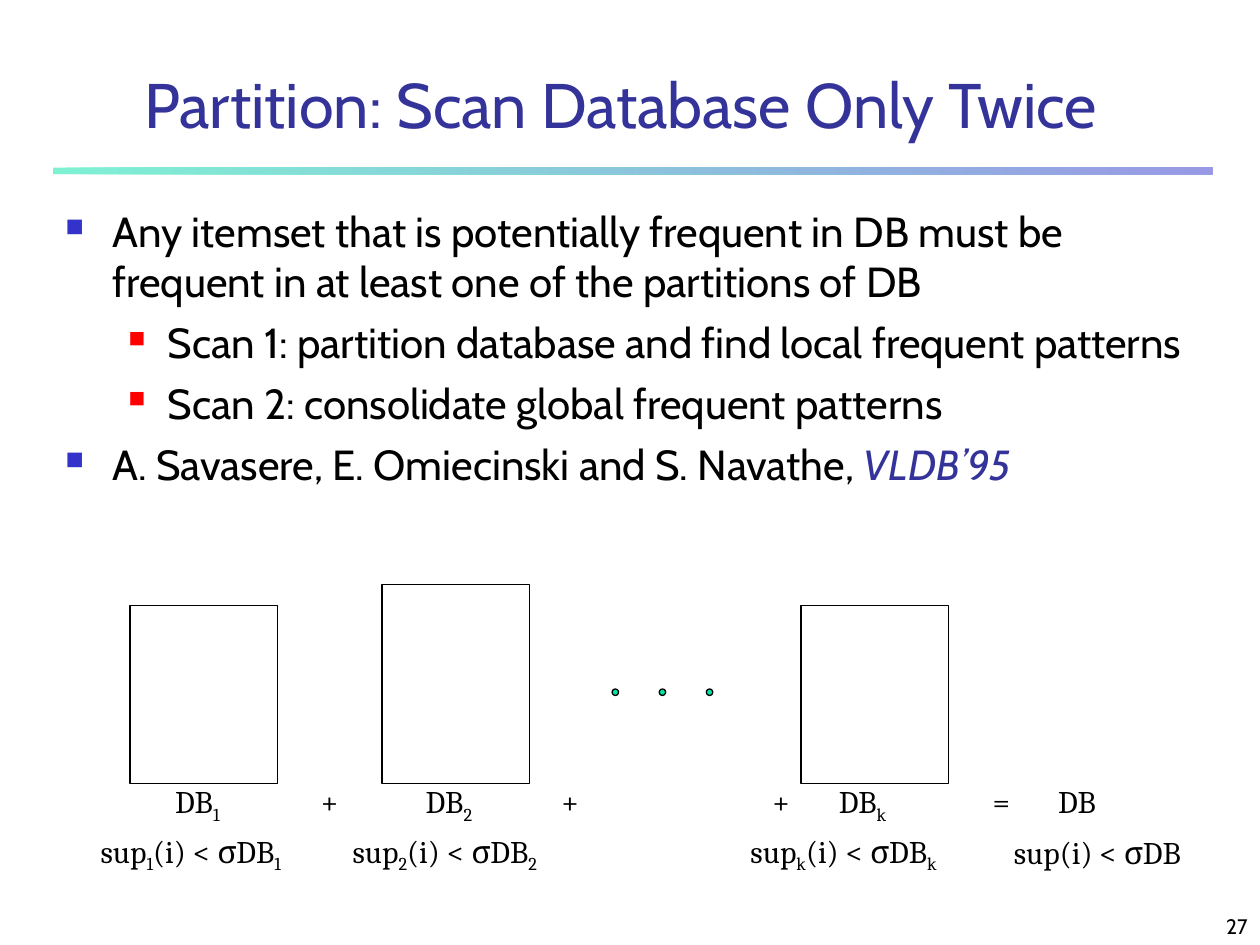
"""Build the slide on partitioned frequent itemset mining."""
import lxml.etree
import pptx
import pptx.chart.data
import pptx.dml.color
import pptx.enum.shapes
import pptx.enum.text
import pptx.oxml
import pptx.oxml.ns
import pptx.util

Cm = pptx.util.Cm
Pt = pptx.util.Pt
color = pptx.dml.color.RGBColor.from_string
qn = pptx.oxml.ns.qn
Shape = pptx.enum.shapes.MSO_SHAPE
Align = pptx.enum.text.PP_ALIGN
Anchor = pptx.enum.text.MSO_ANCHOR

presentation = pptx.Presentation()
presentation.slide_width = Cm(25.4)
presentation.slide_height = Cm(19.05)
slide = presentation.slides.add_slide(presentation.slide_layouts[6])


def add_text(paragraph, text, size=18, font="Cambria", fill="000000", italic=None):
    """Add runs to a paragraph; text between bars is subscript."""
    for index, part in enumerate(text.split("|")):
        if part:
            run = paragraph.add_run()
            run.text = part
            run.font.size = Pt(size)
            run.font.name = font
            run.font.color.rgb = color(fill)
            run.font.italic = italic
            if index % 2:
                run.font._element.set("baseline", "-25000")


def add_box(left, top, width, height, align=Align.LEFT, anchor=Anchor.TOP):
    """Add a wrapping text box and return its first paragraph."""
    box = slide.shapes.add_textbox(Cm(left), Cm(top), Cm(width), Cm(height))
    box.text_frame.word_wrap = True
    box.text_frame.vertical_anchor = anchor
    paragraph = box.text_frame.paragraphs[0]
    paragraph.alignment = align
    return paragraph


rule = slide.shapes.add_shape(Shape.RECTANGLE, Cm(1.07), Cm(3.38), Cm(23.37), Cm(0.13))
rule.shadow.inherit = False
rule.line.fill.background()
rule.fill.gradient()
rule.fill.gradient_angle = 0
for stop, fill in zip(rule.fill.gradient_stops, ["00E4A8", "3333CC"]):
    stop.color.rgb = color(fill)
for stop_color in rule._element.spPr.iter(qn("a:srgbClr")):
    lxml.etree.SubElement(stop_color, qn("a:alpha"), val="50000")

title = add_box(1.7, 1.27, 21.64, 1.7, Align.CENTER, Anchor.BOTTOM)
add_text(title, "Partition: Scan Database Only Twice", size=36, font="Cabin", fill="333399")

levels = [
    {"margin": 0.95, "hanging": 0.95, "fill": "3333CC", "percent": 60},
    {"margin": 2.06, "hanging": 0.79, "fill": "FF0000", "percent": 55},
]
points = [
    (0, "Any itemset that is potentially frequent in DB must be frequent "
        "in at least one of the partitions of DB"),
    (1, "Scan 1: partition database and find local frequent patterns"),
    (1, "Scan 2: consolidate global frequent patterns"),
    (0, "A. Savasere, E. Omiecinski and S. Navathe, "),
]
paragraph = add_box(1.07, 4.01, 23.5, 7.62)
body = paragraph._parent
for index, (level, text) in enumerate(points):
    if index:
        paragraph = body.add_paragraph()
        paragraph.space_before = Pt(6)
    style = levels[level]
    paragraph.level = level
    properties = paragraph._element.get_or_add_pPr()
    properties.set("marL", str(Cm(style["margin"])))
    properties.set("indent", str(-Cm(style["hanging"])))
    bullet_color = lxml.etree.SubElement(properties, qn("a:buClr"))
    lxml.etree.SubElement(bullet_color, qn("a:srgbClr"), val=style["fill"])
    lxml.etree.SubElement(properties, qn("a:buSzPct"), val=str(style["percent"] * 1000))
    lxml.etree.SubElement(properties, qn("a:buChar"), char="■")
    add_text(paragraph, text, size=24, font="Cabin")
add_text(paragraph, "VLDB’95", size=24, font="Cabin", fill="333399", italic=True)

baseline = 15.8
partitions = [
    ("1", 2.62, 3.6, 3.28, 1.78),
    ("2", 7.7, 4.01, 8.33, 6.86),
    ("k", 16.15, 3.6, 16.66, 14.88),
]
for name, left, height, label_left, support_left in partitions:
    partition = slide.shapes.add_shape(
        Shape.RECTANGLE, Cm(left), Cm(baseline - height), Cm(2.97), Cm(height))
    partition.shadow.inherit = False
    partition.fill.background()
    partition.line.color.rgb = color("000000")
    partition.line.width = Pt(0.75)
    add_text(add_box(label_left, 15.65, 2.03, 1.12), f"DB|{name}|")
    add_text(add_box(support_left, 16.64, 4.65, 1.12), f"sup|{name}|(i) < σDB|{name}|")

for index in range(3):
    dot = slide.shapes.add_shape(
        Shape.OVAL, Cm(12.34 + 0.95 * index), Cm(13.89), Cm(0.13), Cm(0.13))
    dot.shadow.inherit = False
    dot.fill.solid()
    dot.fill.fore_color.rgb = color("00E4A8")
    dot.line.color.rgb = color("000000")
    dot.line.width = Pt(0.75)

for left in (6.22, 11.07, 15.32):
    add_text(add_box(left, 15.65, 0.64, 1.02), "+")

total = add_box(19.76, 15.65, 3.81, 1.02)
tabs = lxml.etree.SubElement(total._element.get_or_add_pPr(), qn("a:tabLst"))
lxml.etree.SubElement(tabs, qn("a:tab"), pos=str(Cm(1.32)), algn="l")
add_text(total, "=\tDB")
add_text(add_box(20.19, 16.66, 4.65, 1.02), "sup(i) < σDB")

number = add_box(20.12, 17.98, 5.28, 1.07, Align.RIGHT, Anchor.BOTTOM)
add_text(number, "27", size=12, font="Cabin")

presentation.save("out.pptx")
